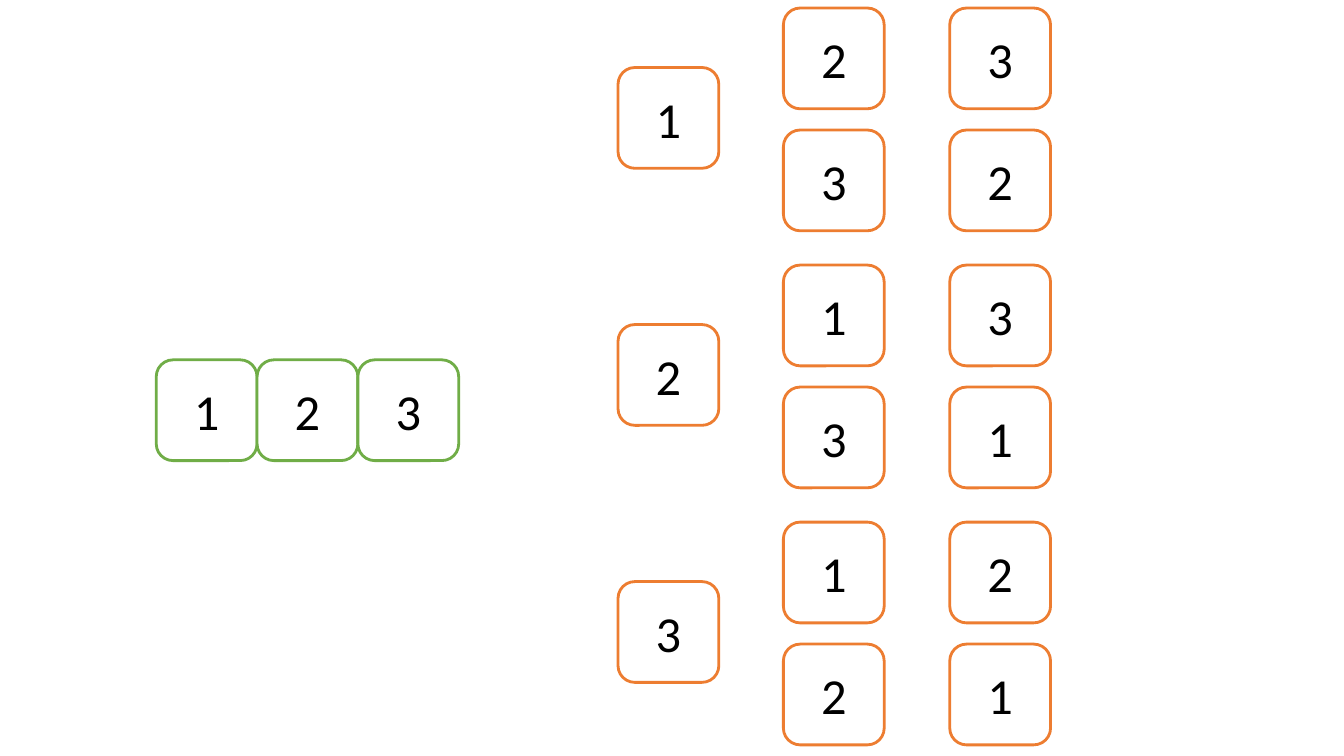
from pptx import Presentation
from pptx import util as u
from pptx.dml.color import RGBColor
from pptx.enum import shapes, text

PX = 9144  # EMU per px, 100 px to the inch
HUES = {"paper": "FFFFFF", "ink": "000000", "green": "70AD47", "orange": "ED7D31"}
SIDE = 100


class Deck:
    def __init__(self, wide, high):
        self.prs = Presentation()
        self.prs.slide_width, self.prs.slide_height = wide * PX, high * PX
        self.slide = self.prs.slides.add_slide(self.prs.slide_layouts[6])
        self.font, self.size, self.line = "Calibri", u.Pt(36), u.Pt(2)

    def hue(self, name):
        return RGBColor.from_string(HUES[name])

    def group(self):
        return self.slide.shapes.add_group_shape()

    def tile(self, num, left, top, edge, home=None):
        """Add a rounded square with a number, on the slide or in a group."""
        home = home or self.slide
        box = home.shapes.add_shape(shapes.MSO_SHAPE.ROUNDED_RECTANGLE,
                                    left * PX, top * PX, SIDE * PX, SIDE * PX)
        box.shadow.inherit = False
        box.fill.solid()
        box.fill.fore_color.rgb = self.hue("paper")
        box.line.color.rgb = self.hue(edge)
        box.line.width = self.line
        frame = box.text_frame
        frame.vertical_anchor = text.MSO_ANCHOR.MIDDLE
        par = frame.paragraphs[0]
        par.text = str(num)
        par.alignment = text.PP_ALIGN.CENTER
        par.font.name, par.font.size = self.font, self.size
        par.font.color.rgb = self.hue("ink")


def main():
    deck = Deck(1333, 750)
    nums = [1, 2, 3]

    # Input row
    for i, num in enumerate(nums):
        deck.tile(num, 155 + i * SIDE, 357, "green")

    # Permutations: first number, then both orders of the other two
    for i, first in enumerate(nums):
        top = 8 + i * 255
        deck.tile(first, 613, top + 59, "orange")
        rest = [n for n in nums if n != first]
        pairs = deck.group()
        for col, order in enumerate([rest, rest[::-1]]):
            for row, num in enumerate(order):
                deck.tile(num, 777 + col * 165, top + row * 121, "orange", pairs)

    deck.prs.save("out.pptx")


if __name__ == "__main__":
    main()
